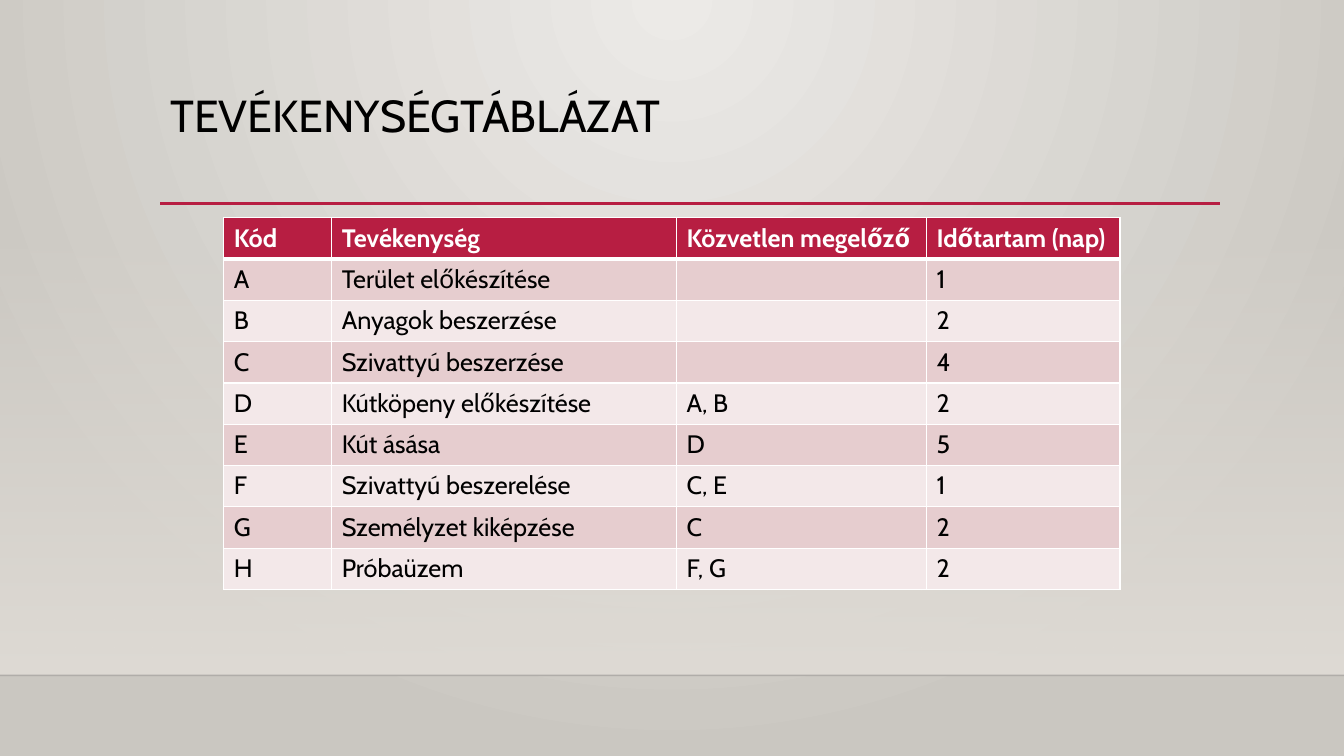
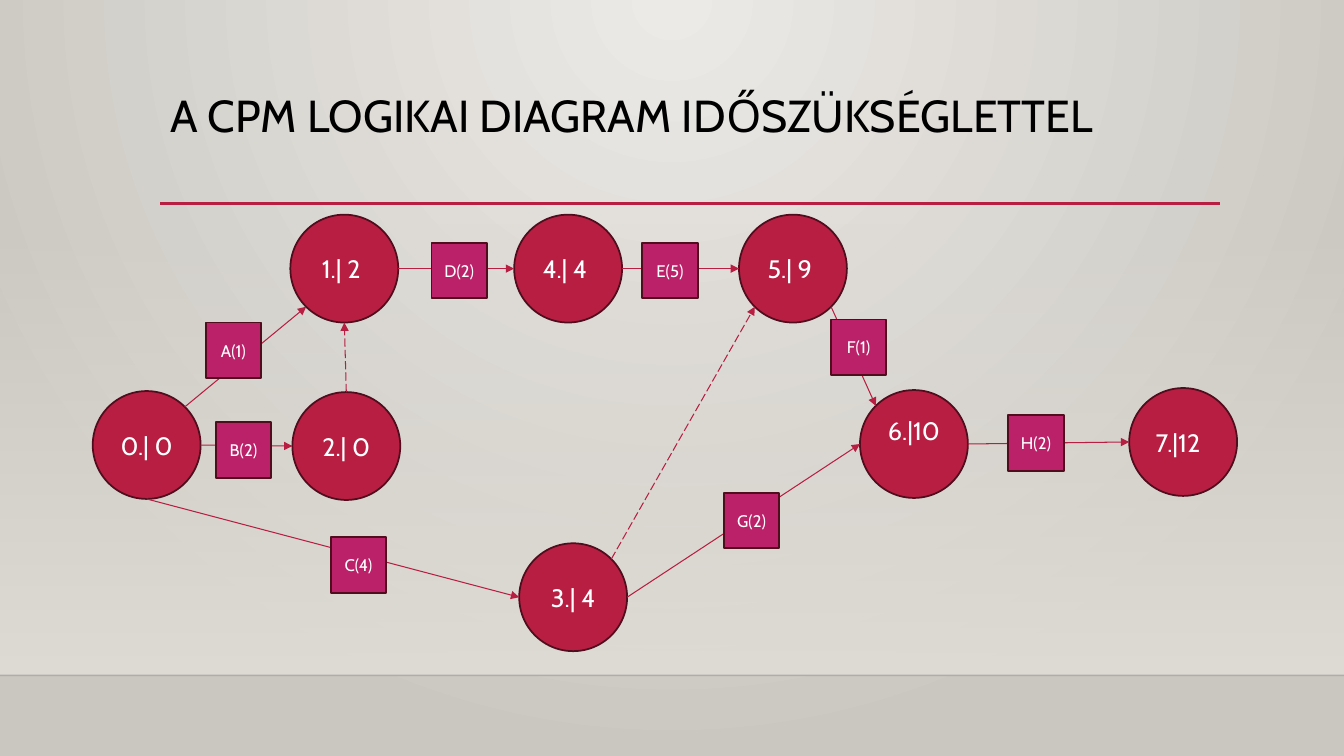
"""Builds the activity table and the CPM network diagram."""
from math import cos, radians, sin

from lxml import etree
from pptx import Presentation
from pptx.dml.color import RGBColor
from pptx.enum import dml, shapes, text
from pptx.oxml import ns
from pptx.util import Inches, Pt

FONT = "Cabin"
RED, MAGENTA, OUTLINE = "B71E42", "BA2169", "500D1D"
WHITE, BLACK = "FFFFFF", "000000"
BAND_ODD, BAND_EVEN = "E6CDCF", "F3E8E9"
WALL = ("ECEAE7", "CAC7C1")
FLOOR_GLOW = "DFDBD5"
WIDTH, HEIGHT = 13.33, 7.5
FLOOR_TOP = 6.7

TABLE_TITLE = "TEVÉKENYSÉGTÁBLÁZAT"
ACTIVITIES = [
    ("Kód", "Tevékenység", "Közvetlen megelőző", "Időtartam (nap)"),
    ("A", "Terület előkészítése", "", "1"),
    ("B", "Anyagok beszerzése", "", "2"),
    ("C", "Szivattyú beszerzése", "", "4"),
    ("D", "Kútköpeny előkészítése", "A, B", "2"),
    ("E", "Kút ásása", "D", "5"),
    ("F", "Szivattyú beszerelése", "C, E", "1"),
    ("G", "Személyzet kiképzése", "C", "2"),
    ("H", "Próbaüzem", "F, G", "2"),
]
COLUMN_WIDTHS = (1.07, 3.42, 2.48, 1.92)
ROW_HEIGHT = 0.41

DIAGRAM_TITLE = "A CPM LOGIKAI DIAGRAM IDŐSZÜKSÉGLETTEL"
EVENT_SIZE, TASK_SIZE = 1.07, 0.55
# label, left, top, extra right inset, extra bottom inset
EVENTS = [
    ("0.| 0", 0.92, 3.88, 0, 0),
    ("1.| 2", 2.88, 2.13, 0.06, 0),
    ("2.| 0", 2.9, 3.89, 0, 0),
    ("3.| 4", 5.15, 5.39, 0, 0),
    ("4.| 4", 5.1, 2.13, 0.06, 0),
    ("5.| 9", 7.33, 2.13, 0.06, 0),
    ("6.|10", 8.53, 3.87, 0, 0.27),
    ("7.|12", 11.2, 3.85, 0.1, 0),
]
TOP, TOP_LEFT, LEFT, BOTTOM_LEFT, BOTTOM, BOTTOM_RIGHT, RIGHT, TOP_RIGHT = range(8)
ARROWS = [
    (0, TOP_RIGHT, 1, BOTTOM_LEFT),
    (0, RIGHT, 2, LEFT),
    (0, BOTTOM, 3, LEFT),
    (1, RIGHT, 4, LEFT),
    (4, RIGHT, 5, LEFT),
    (5, BOTTOM_RIGHT, 6, TOP_LEFT),
    (3, RIGHT, 6, LEFT),
    (6, RIGHT, 7, LEFT),
]
DUMMIES = [(2, TOP, 1, BOTTOM), (3, TOP_RIGHT, 5, BOTTOM_LEFT)]
TASKS = [
    ("A(1)", 2.04, 3.2), ("B(2)", 2.14, 4.19), ("C(4)", 3.28, 5.33),
    ("D(2)", 4.28, 2.41), ("E(5)", 6.37, 2.41), ("F(1)", 8.24, 3.17),
    ("G(2)", 7.18, 4.89), ("H(2)", 10, 4.12),
]


def rgb(value):
    return RGBColor.from_string(value)


def add_xml(parent, tag, **attributes):
    return etree.SubElement(parent, ns.qn(tag), **attributes)


def style(paragraph, size, color, bold=False):
    font = paragraph.font
    font.name, font.size, font.bold = FONT, Pt(size), bold
    font.color.rgb = rgb(color)


def set_gradient(fill, colors):
    fill.gradient()
    for stop, position, color in zip(fill.gradient_stops, (0, 1), colors):
        stop.position = position
        stop.color.rgb = rgb(color)


def add_line(slide, start, end, color, width):
    line = slide.shapes.add_connector(
        shapes.MSO_CONNECTOR.STRAIGHT, *(Inches(v) for v in (*start, *end)))
    line.line.color.rgb = rgb(color)
    line.line.width = Pt(width)
    add_xml(line._element.spPr, "a:effectLst")
    return line


def add_base(prs, title):
    slide = prs.slides.add_slide(prs.slide_layouts[6])
    set_gradient(slide.background.fill, WALL)
    linear = next(slide._element.iter(ns.qn("a:lin")))
    gradient = linear.getparent()
    gradient.remove(linear)
    circle = add_xml(gradient, "a:path", path="circle")
    add_xml(circle, "a:fillToRect", l="43000", t="0", r="43000", b="100000")

    glow = slide.shapes.add_shape(
        shapes.MSO_SHAPE.RECTANGLE, 0, Inches(2.21), Inches(WIDTH), Inches(FLOOR_TOP - 2.21))
    glow.shadow.inherit = False
    glow.line.fill.background()
    set_gradient(glow.fill, (FLOOR_GLOW, FLOOR_GLOW))
    glow.fill.gradient_angle = 270
    add_xml(next(glow._element.spPr.iter(ns.qn("a:srgbClr"))), "a:alpha", val="0")

    edge = add_line(slide, (0, FLOOR_TOP), (WIDTH, FLOOR_TOP), "000001", 1)
    add_xml(next(edge._element.spPr.iter(ns.qn("a:srgbClr"))), "a:alpha", val="20000")
    add_line(slide, (1.59, 2.02), (12.1, 2.02), RED, 2.5)

    heading = slide.shapes.add_textbox(
        Inches(1.59), Inches(0.88), Inches(10.5), Inches(1.15)).text_frame
    heading.word_wrap = True
    heading.text = title
    heading.paragraphs[0].line_spacing = 0.9
    style(heading.paragraphs[0], 32, BLACK)
    return slide


def add_borders(cell, bottom):
    properties = cell._tc.get_or_add_tcPr()
    for side, width in (("L", 1), ("R", 1), ("T", 1), ("B", bottom)):
        border = add_xml(properties, f"a:ln{side}", w=str(Pt(width)))
        add_xml(add_xml(border, "a:solidFill"), "a:srgbClr", val=WHITE)


def add_activities(slide):
    table = slide.shapes.add_table(
        len(ACTIVITIES), len(COLUMN_WIDTHS), Inches(2.22), Inches(2.16),
        Inches(sum(COLUMN_WIDTHS)), Inches(ROW_HEIGHT * len(ACTIVITIES))).table
    table.horz_banding = False
    for column, width in zip(table.columns, COLUMN_WIDTHS):
        column.width = Inches(width)
    for r, activity in enumerate(ACTIVITIES):
        header = r == 0
        band = RED if header else BAND_ODD if r % 2 else BAND_EVEN
        for c, value in enumerate(activity):
            cell = table.cell(r, c)
            cell.text = value
            style(cell.text_frame.paragraphs[0], 18, WHITE if header else BLACK, header)
            add_borders(cell, 3 if header else 1)
            cell.fill.solid()
            cell.fill.fore_color.rgb = rgb(band)


def add_node(slide, preset, label, left, top, size, color, font_size):
    node = slide.shapes.add_shape(
        preset, Inches(left), Inches(top), Inches(size), Inches(size))
    node.shadow.inherit = False
    node.fill.solid()
    node.fill.fore_color.rgb = rgb(color)
    node.line.color.rgb = rgb(OUTLINE)
    node.line.width = Pt(1.25)
    frame = node.text_frame
    frame.word_wrap = False
    frame.vertical_anchor = text.MSO_ANCHOR.MIDDLE
    frame.text = label
    frame.paragraphs[0].alignment = text.PP_ALIGN.CENTER
    style(frame.paragraphs[0], font_size, WHITE)
    return node


def rim_point(event, site):
    left, top = EVENTS[event][1:3]
    radius, angle = EVENT_SIZE / 2, radians(90 + 45 * site)
    return left + radius * (1 + cos(angle)), top + radius * (1 - sin(angle))


def add_arrow(slide, circles, source, source_site, target, target_site, dashed):
    arrow = add_line(slide, rim_point(source, source_site),
                     rim_point(target, target_site), RED, 0.75)
    if dashed:
        arrow.line.dash_style = dml.MSO_LINE.LONG_DASH
    add_xml(arrow.line._get_or_add_ln(), "a:tailEnd", type="triangle")
    joints = arrow._element.nvCxnSpPr.cNvCxnSpPr
    for tag, event, site in (("a:stCxn", source, source_site), ("a:endCxn", target, target_site)):
        add_xml(joints, tag, id=str(circles[event].shape_id), idx=str(site))


def add_network(slide):
    circles = []
    for label, left, top, right_inset, bottom_inset in EVENTS:
        circle = add_node(slide, shapes.MSO_SHAPE.OVAL, label, left, top, EVENT_SIZE, RED, 18)
        circle.text_frame.margin_right = Inches(0.1 + right_inset)
        circle.text_frame.margin_bottom = Inches(0.05 + bottom_inset)
        circles.append(circle)
    for arrows, dashed in ((ARROWS, False), (DUMMIES, True)):
        for arrow in arrows:
            add_arrow(slide, circles, *arrow, dashed)
    for label, left, top in TASKS:
        add_node(slide, shapes.MSO_SHAPE.RECTANGLE, label, left, top, TASK_SIZE, MAGENTA, 12)


def main():
    prs = Presentation()
    prs.slide_width, prs.slide_height = Inches(WIDTH), Inches(HEIGHT)
    add_activities(add_base(prs, TABLE_TITLE))
    add_network(add_base(prs, DIAGRAM_TITLE))
    prs.save("out.pptx")


if __name__ == "__main__":
    main()
